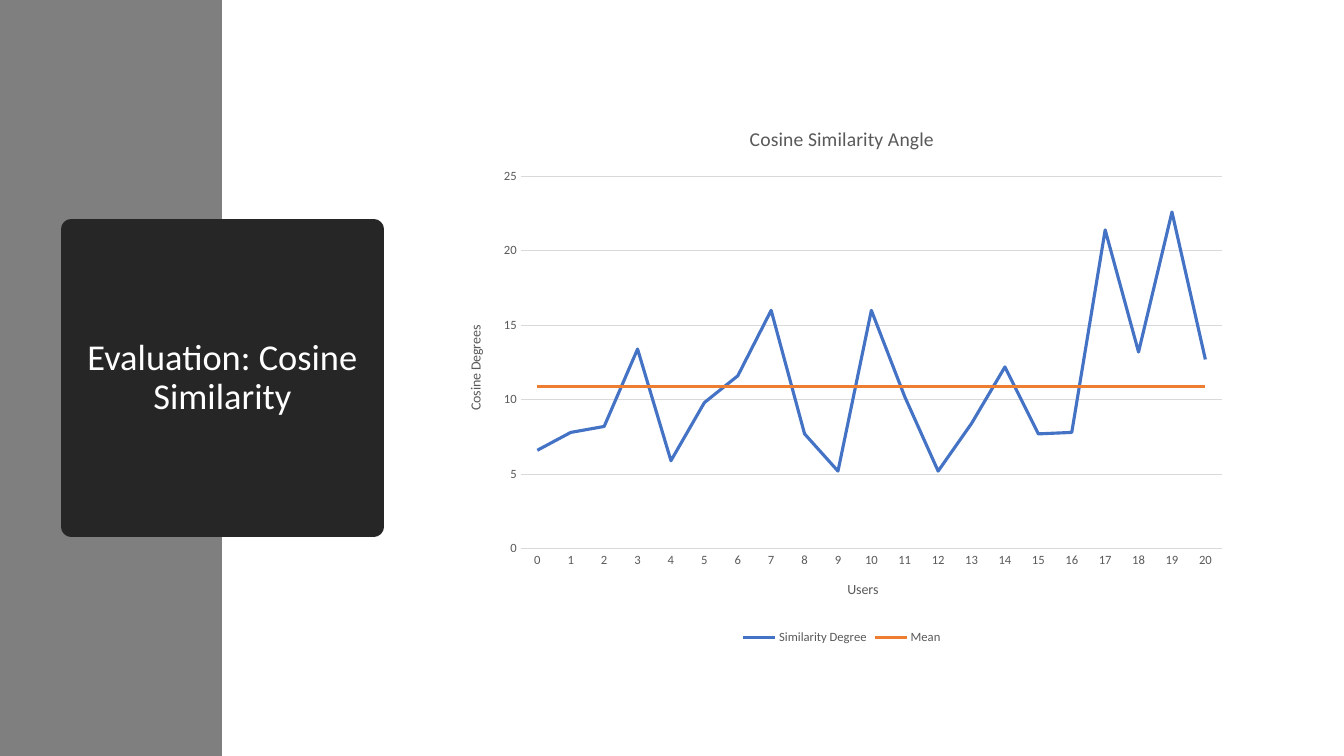
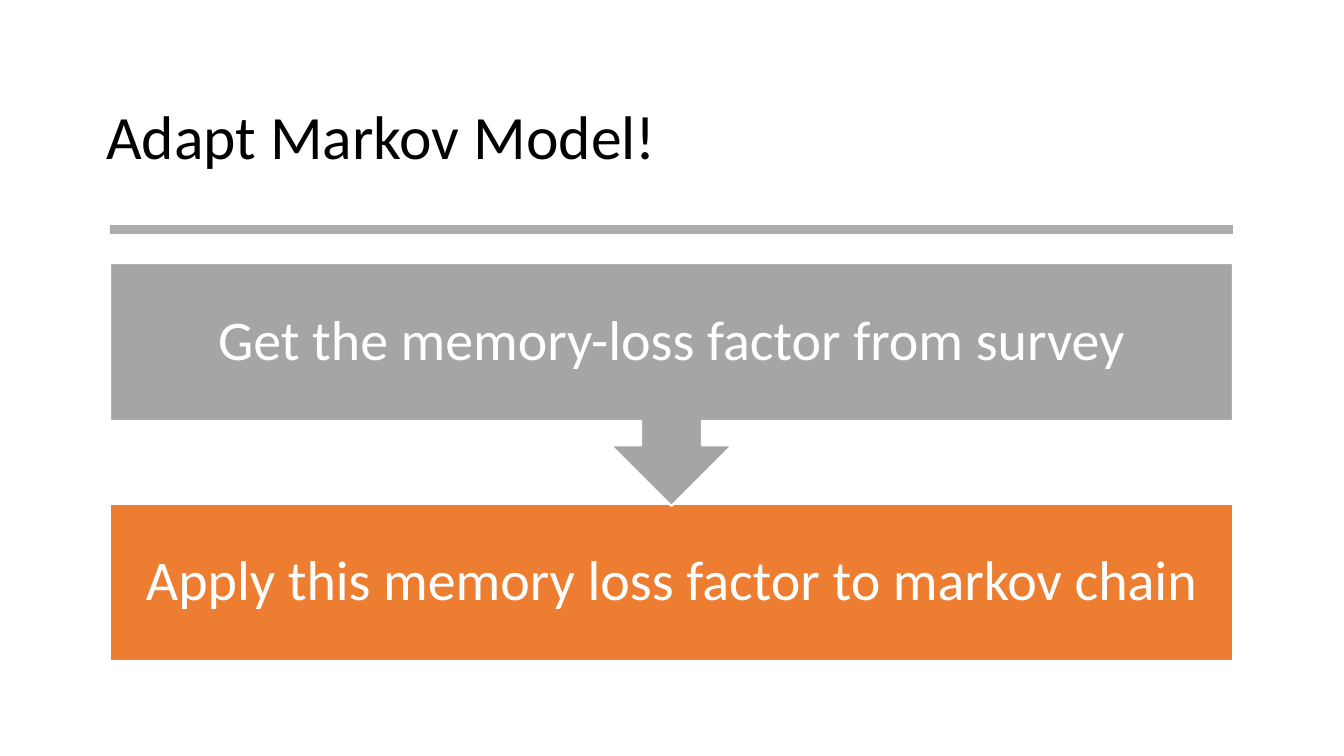
from lxml import etree
from pptx import Presentation
from pptx.chart.data import CategoryChartData
from pptx.dml.color import RGBColor
from pptx.enum.chart import XL_CHART_TYPE, XL_LEGEND_POSITION, XL_MARKER_STYLE, XL_TICK_MARK
from pptx.enum.shapes import MSO_SHAPE
from pptx.enum.text import MSO_ANCHOR, MSO_AUTO_SIZE, PP_ALIGN
from pptx.oxml.ns import qn
from pptx.util import Pt

EMU_PER_PX = 914400 / 100.8
SLIDE_W, SLIDE_H = 1344, 756
FONT = "Calibri"
COLORS = {
    "band": "7F7F7F", "panel": "262626", "white": "FFFFFF", "black": "000000",
    "rule": "808080", "gray": "A5A5A5", "orange": "ED7D31", "blue": "4472C4",
    "label": "595959", "grid": "D9D9D9",
}
RECT, CALLOUT = MSO_SHAPE.RECTANGLE, MSO_SHAPE.DOWN_ARROW_CALLOUT
LEFT, CENTER, MIDDLE = PP_ALIGN.LEFT, PP_ALIGN.CENTER, MSO_ANCHOR.MIDDLE
NO_TICK = XL_TICK_MARK.NONE
TITLE_ONLY = 5

DEGREES = [6.6, 7.8, 8.2, 13.4, 5.9, 9.8, 11.6, 16, 7.7, 5.2, 16, 10.2, 5.2, 8.4,
           12.2, 7.7, 7.8, 21.4, 13.2, 22.6, 12.7]
MEAN = 10.9


def px(*lengths):
    return [round(length * EMU_PER_PX) for length in lengths]


def rgb(name):
    return RGBColor.from_string(COLORS[name])


def style_font(font, size, color):
    font.name, font.size, font.bold = FONT, Pt(size), False
    font.color.rgb = rgb(color)


def set_line(line, color, width):
    line.color.rgb = rgb(color)
    line.width = Pt(width)


def write(shape, text, size, color, align):
    frame = shape.text_frame
    frame.text = text
    frame.word_wrap = True
    frame.auto_size = MSO_AUTO_SIZE.NONE
    frame.vertical_anchor = MIDDLE
    paragraph = frame.paragraphs[0]
    paragraph.alignment = align
    paragraph.line_spacing = 0.9
    style_font(paragraph.runs[0].font, size, color)


def add_title(slide, text, box, size, color, align=LEFT):
    title = slide.shapes.title
    title.left, title.top, title.width, title.height = px(*box)
    write(title, text, size, color, align)
    return title


def add_block(slide, kind, box, fill, opacity=100):
    block = slide.shapes.add_shape(kind, *px(*box))
    block.shadow.inherit = False
    block.fill.solid()
    block.fill.fore_color.rgb = rgb(fill)
    block.line.fill.background()
    if opacity < 100:
        color = block.fill._xPr.find(qn("a:solidFill"))[0]
        etree.SubElement(color, qn("a:alpha")).set("val", str(opacity * 1000))
    return block


def add_step(slide, kind, box, fill, text):
    step = add_block(slide, kind, box, fill)
    set_line(step.line, "white", 1.5)
    write(step, text, 40, "white", CENTER)
    frame = step.text_frame
    frame.margin_left, frame.margin_right, frame.margin_top, frame.margin_bottom = px(31, 31, 31, 31)


def set_heading(owner, text, size):
    """Title a chart or an axis."""
    frame = (owner.chart_title if hasattr(owner, "chart_title") else owner.axis_title).text_frame
    frame.text = text
    style_font(frame.paragraphs[0].runs[0].font, size, "label")


def format_axis(axis, heading):
    set_heading(axis, heading, 10)
    axis.major_tick_mark = axis.minor_tick_mark = NO_TICK
    style_font(axis.tick_labels.font, 9, "label")


def add_line_chart(slide, box, heading, categories, series):
    """Draw a line chart; series holds (name, values, color)."""
    data = CategoryChartData()
    data.categories = categories
    for name, values, _ in series:
        data.add_series(name, values)
    chart = slide.shapes.add_chart(XL_CHART_TYPE.LINE, *px(*box), data).chart
    style_font(chart.font, 10, "label")
    set_heading(chart, heading, 14)

    format_axis(chart.category_axis, "Users")
    set_line(chart.category_axis.format.line, "grid", 0.75)
    degrees = chart.value_axis
    format_axis(degrees, "Cosine Degrees")
    degrees.minimum_scale, degrees.maximum_scale, degrees.major_unit = 0, 25, 5
    degrees.format.line.fill.background()
    set_line(degrees.major_gridlines.format.line, "grid", 0.75)

    chart.has_legend = True
    chart.legend.position = XL_LEGEND_POSITION.BOTTOM
    chart.legend.include_in_layout = False
    style_font(chart.legend.font, 9, "label")
    chart.plots[0].vary_by_categories = False
    for line, (_, _, color) in zip(chart.plots[0].series, series):
        line.smooth = False
        line.marker.style = XL_MARKER_STYLE.NONE
        set_line(line.format.line, color, 2.25)


def build_evaluation(slide):
    band = add_block(slide, RECT, (0, 0, 222, SLIDE_H), "band")
    panel = add_title(slide, "Evaluation: Cosine Similarity", (71, 229, 303, 298),
                      26, "white", CENTER)
    panel.fill.solid()
    panel.fill.fore_color.rgb = rgb("panel")
    set_line(panel.line, "panel", 13.75)
    panel.element.addprevious(band.element)
    users = [str(number) for number in range(len(DEGREES))]
    add_line_chart(slide, (446, 106, 792, 543), "Cosine Similarity Angle", users, [
        ("Similarity Degree", DEGREES, "blue"),
        ("Mean", [MEAN] * len(DEGREES), "orange"),
    ])


def build_markov(slide):
    left, width = 110, 1123
    add_title(slide, "Adapt Markov Model!", (96, 67, 1152, 146), 44, "black")
    add_block(slide, RECT, (left, 225, width, 9), "rule", opacity=65)
    add_step(slide, RECT, (left, 504, width, 157), "orange",
             "Apply this memory loss factor to markov chain")
    add_step(slide, CALLOUT, (left, 263, width, 243), "gray",
             "Get the memory-loss factor from survey")


def main():
    deck = Presentation()
    deck.slide_width, deck.slide_height = px(SLIDE_W, SLIDE_H)
    for build in (build_evaluation, build_markov):
        build(deck.slides.add_slide(deck.slide_layouts[TITLE_ONLY]))
    deck.save("out.pptx")


if __name__ == "__main__":
    main()
